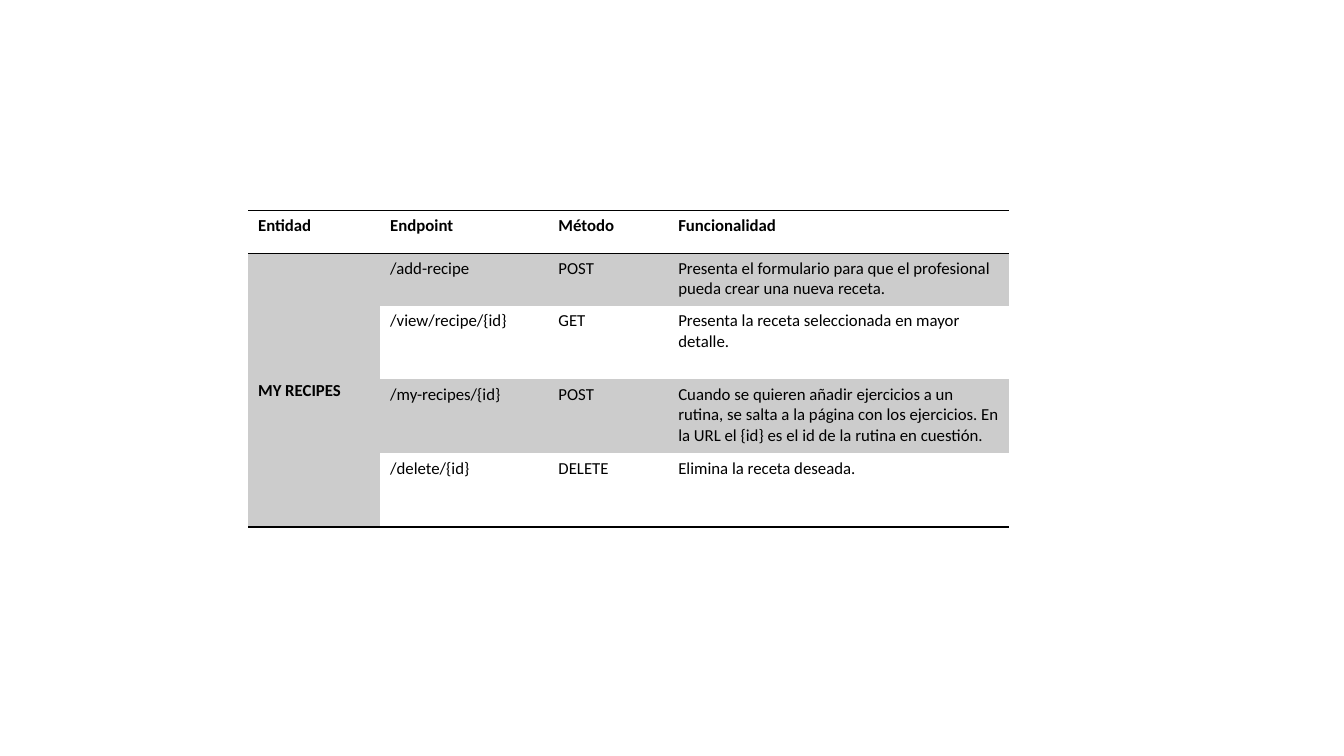
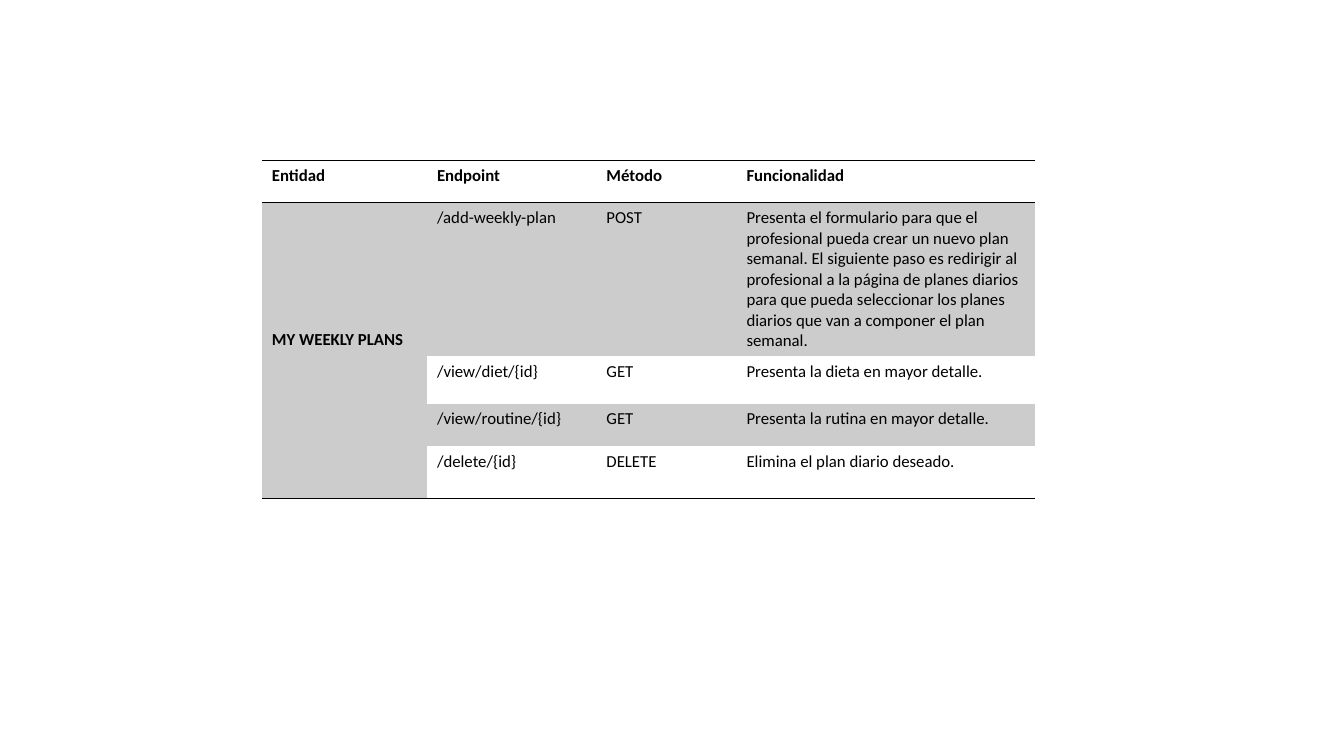
import pptx
import pptx.dml.color
import pptx.oxml
import pptx.oxml.ns
import pptx.util

Cm = pptx.util.Cm
Pt = pptx.util.Pt

# Shared look
BLACK = pptx.dml.color.RGBColor(0x00, 0x00, 0x00)
GREY = pptx.dml.color.RGBColor(0xCC, 0xCC, 0xCC)
FONT = "Calibri"
FONT_SIZE = Pt(12)
RULE_WIDTH = Pt(1)
ENTITY_TOP = Cm(3.2)
PLAIN_STYLE = "{2D5ABB26-0587-4C30-8999-92F81FD0307C}"
HEADINGS = ["Entidad", "Endpoint", "Método", "Funcionalidad"]

# One entry per slide, lengths in centimetres
ENDPOINT_TABLES = [
    {
        "entity": "MY RECIPES",
        "left": 6.25,
        "top": 5.31,
        "widths": [3.33, 4.24, 3.02, 8.59],
        "heights": [1.07, 1.32, 1.86, 1.86, 1.86],
        "endpoints": [
            ("/add-recipe", "POST",
             "Presenta el formulario para que el profesional pueda crear una nueva receta."),
            ("/view/recipe/{id}", "GET",
             "Presenta la receta seleccionada en mayor detalle."),
            ("/my-recipes/{id}", "POST",
             "Cuando se quieren añadir ejercicios a un rutina, se salta a la página con "
             "los ejercicios. En la URL el {id} es el id de la rutina en cuestión."),
            ("/delete/{id}", "DELETE", "Elimina la receta deseada."),
        ],
    },
    {
        "entity": "MY WEEKLY PLANS",
        "left": 6.6,
        "top": 4.04,
        "widths": [4.16, 4.27, 3.53, 7.52],
        "heights": [1.07, 3.87, 1.2, 1.07, 1.32],
        "endpoints": [
            ("/add-weekly-plan", "POST",
             "Presenta el formulario para que el profesional pueda crear un nuevo plan "
             "semanal. El siguiente paso es redirigir al profesional a la página de planes "
             "diarios para que pueda seleccionar los planes diarios que van a componer el "
             "plan semanal."),
            ("/view/diet/{id}", "GET", "Presenta la dieta en mayor detalle."),
            ("/view/routine/{id}", "GET", "Presenta la rutina en mayor detalle."),
            ("/delete/{id}", "DELETE", "Elimina el plan diario deseado."),
        ],
    },
]


def write_cell(cell, text, bold, shaded):
    span = cell.text_frame.paragraphs[0].add_run()
    span.text = text
    span.font.name = FONT
    span.font.size = FONT_SIZE
    span.font.bold = bold
    span.font.color.rgb = BLACK
    if shaded:
        cell.fill.solid()
        cell.fill.fore_color.rgb = GREY
    else:
        cell.fill.background()


def rule_cell(cell, sides):
    """Draw black rules on the given sides, listed in schema order (T before B)."""
    properties = cell._tc.get_or_add_tcPr()
    for position, side in enumerate(sides):
        properties.insert(position, pptx.oxml.parse_xml(
            f'<a:ln{side} {pptx.oxml.ns.nsdecls("a")} w="{RULE_WIDTH}">'
            f'<a:solidFill><a:srgbClr val="{BLACK}"/></a:solidFill></a:ln{side}>'))


deck = pptx.Presentation()
deck.slide_width = Cm(33.87)
deck.slide_height = Cm(19.05)
blank_layout = deck.slide_layouts[6]

for content in ENDPOINT_TABLES:
    page = deck.slides.add_slide(blank_layout)
    widths, heights = content["widths"], content["heights"]
    last_row = len(heights) - 1

    # Table frame, free of style effects
    frame = page.shapes.add_table(
        len(heights), len(widths), Cm(content["left"]), Cm(content["top"]),
        Cm(sum(widths)), Cm(sum(heights)))
    table = frame.table
    table.first_row = False
    table.horz_banding = False
    style = frame.element.find(".//" + pptx.oxml.ns.qn("a:tableStyleId"))
    style.text = PLAIN_STYLE
    for column, width in zip(table.columns, widths):
        column.width = Cm(width)
    for row, height in zip(table.rows, heights):
        row.height = Cm(height)

    # Heading row between two rules
    for column_index, heading in enumerate(HEADINGS):
        cell = table.cell(0, column_index)
        write_cell(cell, heading, bold=True, shaded=False)
        rule_cell(cell, "TB")

    # Entity cell beside all its endpoints
    entity = table.cell(1, 0)
    entity.merge(table.cell(last_row, 0))
    entity.margin_top = ENTITY_TOP
    write_cell(entity, content["entity"], bold=True, shaded=True)
    rule_cell(entity, "B")

    # Endpoint rows, every other one shaded
    for row_index, endpoint in enumerate(content["endpoints"], start=1):
        for column_index, text in enumerate(endpoint, start=1):
            write_cell(table.cell(row_index, column_index), text,
                       bold=False, shaded=row_index % 2 == 1)

    # Closing rule
    for column_index in range(len(widths)):
        rule_cell(table.cell(last_row, column_index), "B")

deck.save("out.pptx")
